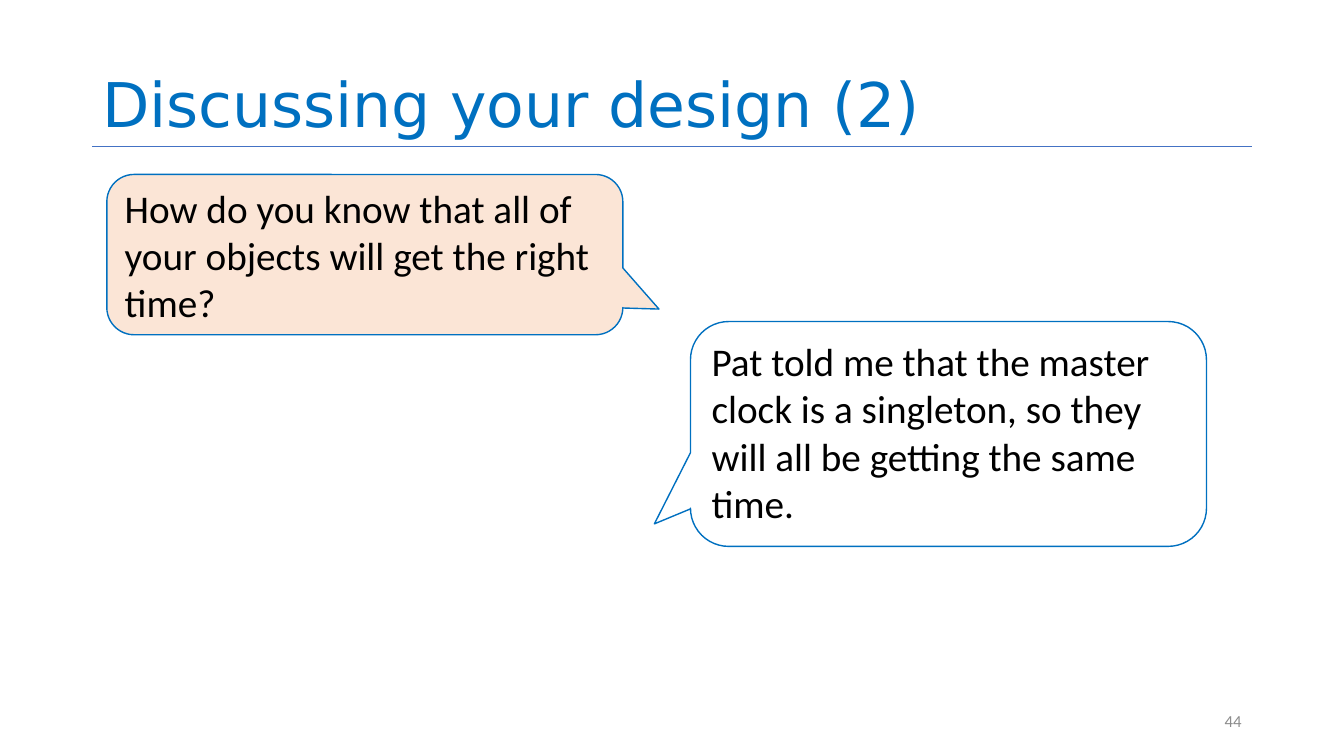
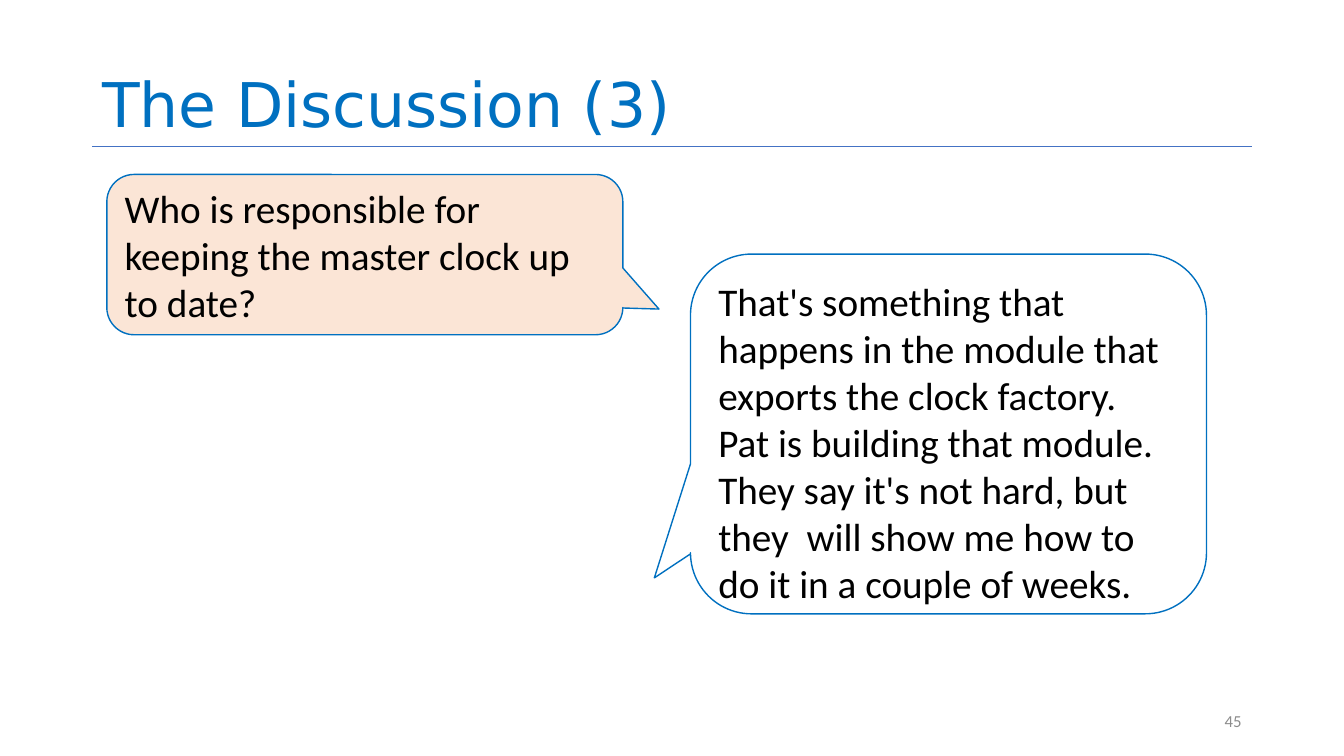
from pptx import Presentation
from pptx.dml.color import RGBColor
from pptx.enum import shapes, text
from pptx.oxml.ns import qn
from pptx.util import Pt

COLORS = {
    "title": "0070C0",
    "rule": "4472C4",
    "outline": "0070C0",
    "question": "FBE5D6",
    "answer": "FFFFFF",
    "body": "000000",
    "number": "8C8C8C",
}
TITLE_FONT, BODY_FONT = "DejaVu Sans", "Calibri"
SLIDE_WIDTH, SLIDE_HEIGHT = 960, 540
MARGIN = 66
CONTENT_WIDTH = SLIDE_WIDTH - 2 * MARGIN
RULE_Y = 104.4
BUBBLE_WIDTH = 368.6
QUESTION_BOX = (76.3, 124.6, BUBBLE_WIDTH, 114.5)
ANSWER_LEFT, ANSWER_MIDDLE = 493.2, 310
QUESTION_TAIL = (0.57, 0.34, 0.17)
ANSWER_TAIL = (-0.57, 0.4, 0.17)
FIRST_NUMBER = 44

DISCUSSION = [
    {
        "title": "Discussing your design (2)",
        "question": "How do you know that all of your objects will get the right\ntime?",
        "answer": "Pat told me that the master clock is a singleton, so they will all be "
                  "getting the same time.",
        "answer_height": 160.6,
    },
    {
        "title": "The Discussion (3)",
        "question": "Who is responsible for keeping the master clock up to date?",
        "answer": "That's something that happens in the module that exports the clock "
                  "factory.  Pat is building that module.  They say it's not hard, but "
                  "they  will show me how to do it in a couple of weeks.",
        "answer_height": 257,
    },
]


def color(name):
    return RGBColor.from_string(COLORS[name])


def write(shape, content, font, size, color_name, anchor,
          align=text.PP_ALIGN.LEFT, spacing=1.0):
    frame = shape.text_frame
    frame.text = content
    frame.word_wrap = True
    frame.vertical_anchor = anchor
    for paragraph in frame.paragraphs:
        paragraph.alignment = align
        paragraph.line_spacing = spacing
        for run in paragraph.runs:
            run.font.name = font
            run.font.size = Pt(size)
            run.font.color.rgb = color(color_name)


def add_text(slide, box, *style, **options):
    write(slide.shapes.add_textbox(*map(Pt, box)), *style, **options)


def add_bubble(slide, box, tail, fill, content, anchor):
    bubble = slide.shapes.add_shape(
        shapes.MSO_SHAPE.ROUNDED_RECTANGULAR_CALLOUT, *map(Pt, box))
    for index, value in enumerate(tail):
        bubble.adjustments[index] = value
    bubble.shadow.inherit = False
    bubble.fill.solid()
    bubble.fill.fore_color.rgb = color(fill)
    bubble.line.color.rgb = color("outline")
    bubble.line.width = Pt(1)
    write(bubble, content, BODY_FONT, 28, "body", anchor)


def add_frame(slide, title, number):
    rule = slide.shapes.add_connector(
        shapes.MSO_CONNECTOR.STRAIGHT,
        Pt(MARGIN), Pt(RULE_Y), Pt(MARGIN + CONTENT_WIDTH), Pt(RULE_Y))
    rule.line.color.rgb = color("rule")
    rule.line.width = Pt(0.5)
    properties = rule._element.spPr
    properties.append(properties.makeelement(qn("a:effectLst"), {}))
    add_text(slide, (MARGIN, 0, CONTENT_WIDTH, RULE_Y), title, TITLE_FONT, 44,
             "title", text.MSO_ANCHOR.BOTTOM, spacing=0.9)
    add_text(slide, (678, 500.4, 216, 28.8), str(number), BODY_FONT, 12,
             "number", text.MSO_ANCHOR.MIDDLE, align=text.PP_ALIGN.RIGHT)


def main():
    presentation = Presentation()
    presentation.slide_width = Pt(SLIDE_WIDTH)
    presentation.slide_height = Pt(SLIDE_HEIGHT)
    for number, exchange in enumerate(DISCUSSION, FIRST_NUMBER):
        slide = presentation.slides.add_slide(presentation.slide_layouts[6])
        add_frame(slide, exchange["title"], number)
        height = exchange["answer_height"]
        answer_box = (ANSWER_LEFT, ANSWER_MIDDLE - height / 2, BUBBLE_WIDTH, height)
        add_bubble(slide, answer_box, ANSWER_TAIL, "answer",
                   exchange["answer"], text.MSO_ANCHOR.TOP)
        add_bubble(slide, QUESTION_BOX, QUESTION_TAIL, "question",
                   exchange["question"], text.MSO_ANCHOR.MIDDLE)
    presentation.save("out.pptx")


if __name__ == "__main__":
    main()
